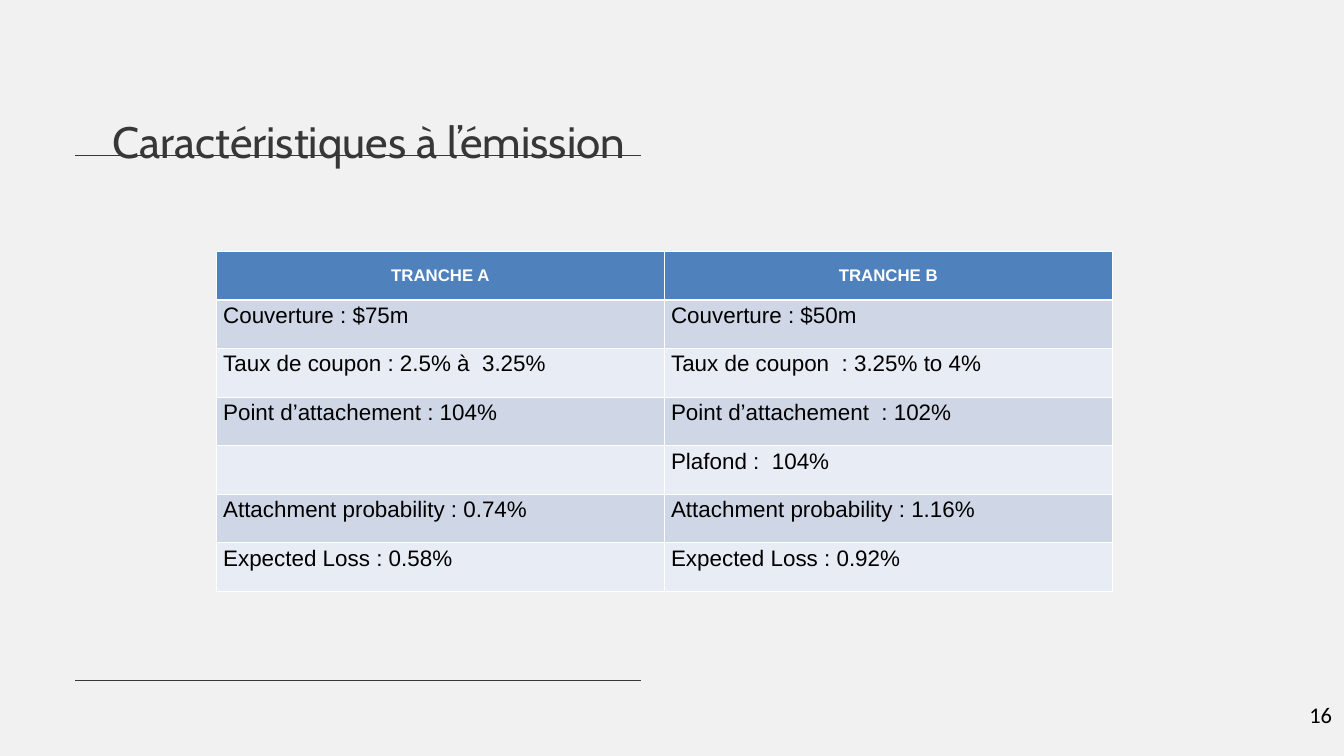
from lxml.etree import SubElement
from pptx import Presentation
from pptx.dml.color import RGBColor
from pptx.enum.shapes import MSO_CONNECTOR, MSO_SHAPE
from pptx.enum.text import MSO_ANCHOR as Anchor, PP_ALIGN as Align
from pptx.oxml.ns import qn
from pptx.util import Cm, Pt

"""Build the slide on the features of the two tranches at issue."""

COLORS = {
    "background": "F1F1F1",
    "dark": "373737",
    "header": "4F81BD",
    "odd_row": "CFD7E7",
    "even_row": "E8ECF4",
    "white": "FFFFFF",
    "black": "000000",
}
TRANCHES = [
    ("TRANCHE A", "TRANCHE B"),
    ("Couverture : $75m", "Couverture : $50m"),
    ("Taux de coupon : 2.5% à  3.25%", "Taux de coupon  : 3.25% to 4%"),
    ("Point d’attachement : 104%", "Point d’attachement  : 102%"),
    ("", "Plafond :  104%"),
    ("Attachment probability : 0.74%", "Attachment probability : 1.16%"),
    ("Expected Loss : 0.58%", "Expected Loss : 0.92%"),
]


def rgb(name):
    return RGBColor.from_string(COLORS[name])


def style_paragraph(paragraph, font_name, size, color, align=Align.LEFT, bold=False):
    paragraph.alignment = align
    font = paragraph.font
    font.name, font.size, font.bold = font_name, Pt(size), bold
    font.color.rgb = rgb(color)


def add_background(slide, width, height):
    shape = slide.shapes.add_shape(MSO_SHAPE.RECTANGLE, 0, 0, width, height)
    shape.shadow.inherit = False
    shape.fill.solid()
    shape.fill.fore_color.rgb = rgb("background")
    shape.line.fill.background()


def add_text(slide, text, left, top, width, height, **style):
    box = slide.shapes.add_textbox(Cm(left), Cm(top), Cm(width), Cm(height))
    box.text_frame.word_wrap = True
    paragraph = box.text_frame.paragraphs[0]
    paragraph.text = text
    style_paragraph(paragraph, **style)
    return paragraph


def add_rule(slide, top):
    rule = slide.shapes.add_connector(
        MSO_CONNECTOR.STRAIGHT, Cm(2.84), Cm(top), Cm(24.23), Cm(top))
    rule.line.color.rgb = rgb("dark")
    rule.line.width = Pt(0.75)
    SubElement(rule._element.spPr, qn("a:effectLst"))


def set_borders(cell, top, bottom):
    properties = cell._tc.get_or_add_tcPr()
    for side, width in (("L", 1), ("R", 1), ("T", top), ("B", bottom)):
        line = SubElement(properties, qn(f"a:ln{side}"), w=str(Pt(width)))
        fill = SubElement(line, qn("a:solidFill"))
        SubElement(fill, qn("a:srgbClr"), val=COLORS["white"])


def fill_cell(cell, text, row):
    is_header = row == 0
    set_borders(cell, top=3 if row == 1 else 1, bottom=3 if is_header else 1)
    cell.fill.solid()
    cell.fill.fore_color.rgb = rgb(
        "header" if is_header else "odd_row" if row % 2 else "even_row")
    cell.text = text
    paragraph = cell.text_frame.paragraphs[0]
    if is_header:
        cell.vertical_anchor = Anchor.MIDDLE
        style_paragraph(paragraph, "Arial", 18, "white", Align.CENTER, bold=True)
    else:
        style_paragraph(paragraph, "Arial", 24, "black")


def add_tranche_table(slide):
    table = slide.shapes.add_table(
        len(TRANCHES), 2, Cm(8.18), Cm(9.5), Cm(33.86), Cm(12.85)).table
    for row, texts in enumerate(TRANCHES):
        for column, text in enumerate(texts):
            fill_cell(table.cell(row, column), text, row)


def main():
    presentation = Presentation()
    presentation.slide_width, presentation.slide_height = Cm(50.8), Cm(28.58)
    slide = presentation.slides.add_slide(presentation.slide_layouts[6])
    add_background(slide, presentation.slide_width, presentation.slide_height)
    title = add_text(slide, "Caractéristiques à l’émission", 4.01, 3.33, 23.27, 2.41,
                     font_name="Cabin", size=47, color="dark")
    title.line_spacing = 1.45
    add_tranche_table(slide)
    for top in (25.73, 5.89):
        add_rule(slide, top)
    add_text(slide, "16", 47.55, 26.39, 3.05, 2.18,
             font_name="Calibri", size=24, color="black", align=Align.RIGHT)
    presentation.save("out.pptx")


if __name__ == "__main__":
    main()
